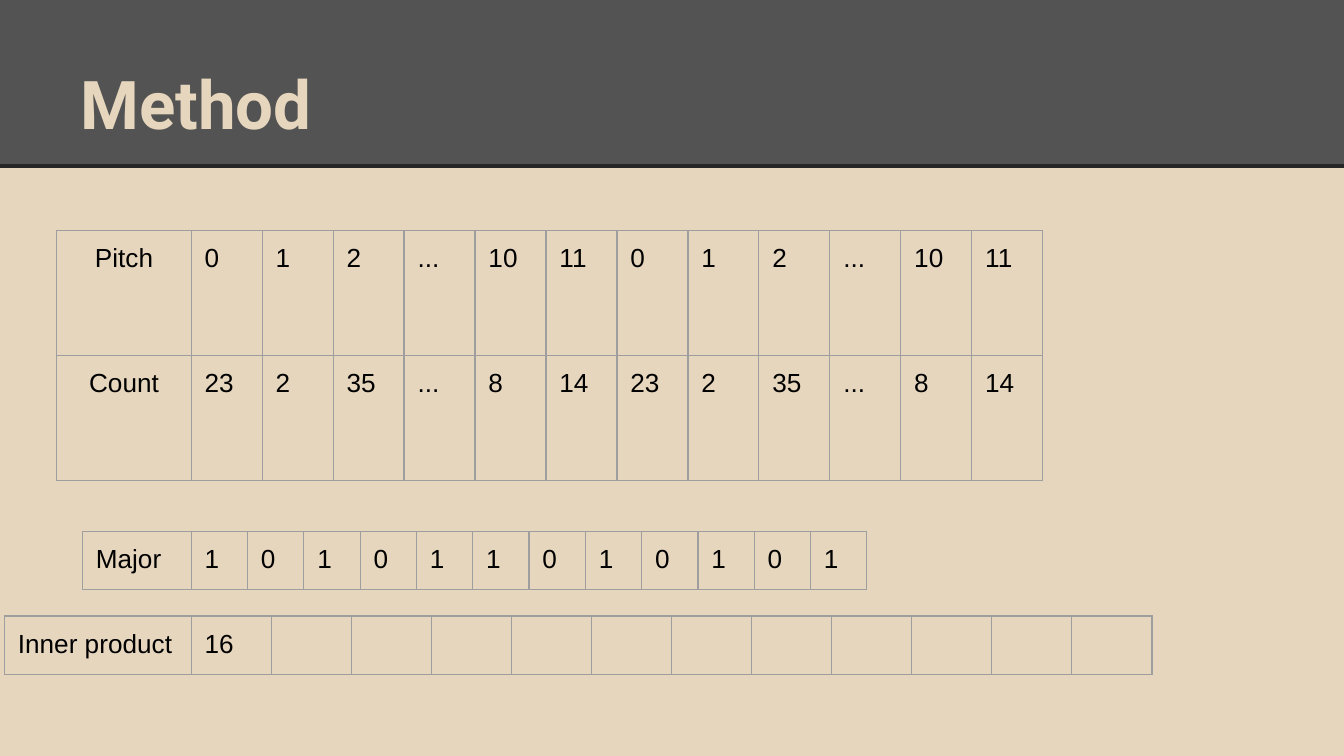
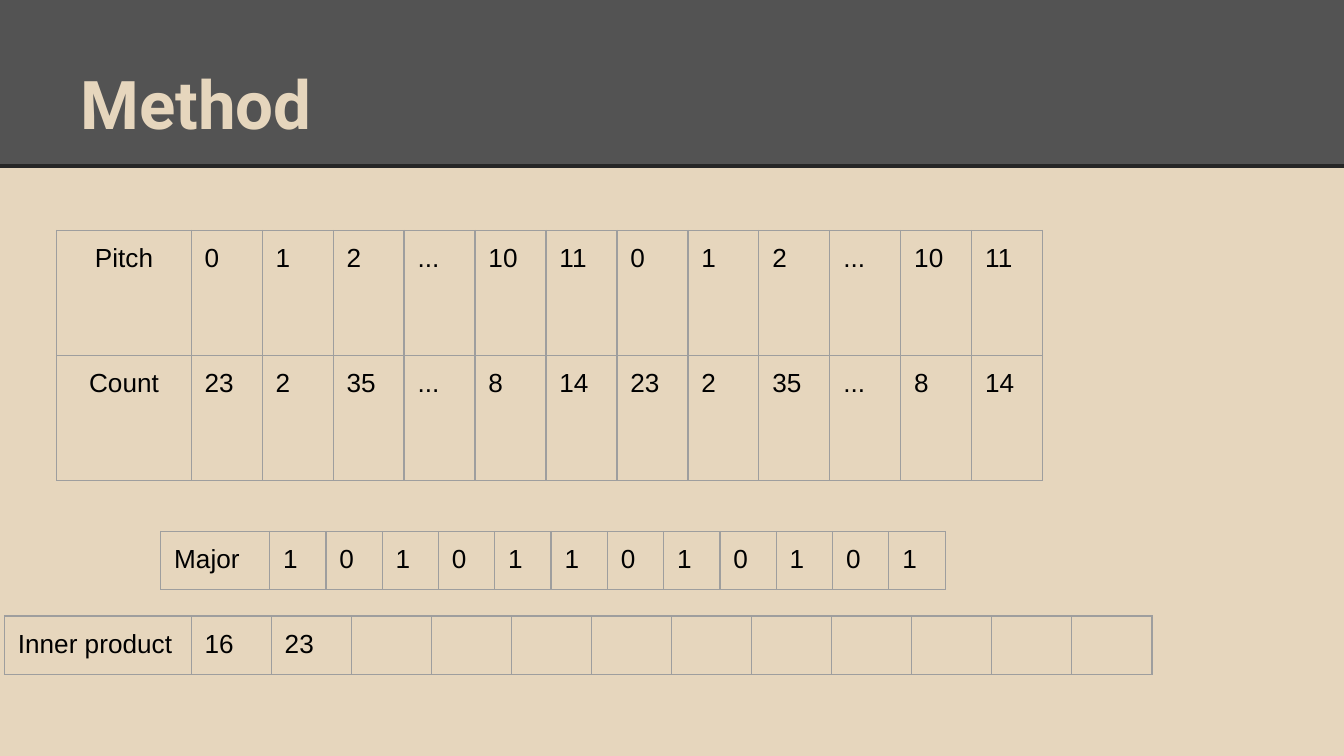
from lxml import etree
from pptx import Presentation
from pptx.dml.color import RGBColor
from pptx.enum.shapes import MSO_CONNECTOR, MSO_SHAPE
from pptx.enum.text import MSO_ANCHOR, PP_ALIGN
from pptx.oxml.ns import qn
from pptx.util import Inches, Pt

RECTANGLE = MSO_SHAPE.RECTANGLE
STRAIGHT = MSO_CONNECTOR.STRAIGHT
BOTTOM = MSO_ANCHOR.BOTTOM
LEFT = PP_ALIGN.LEFT
CENTER = PP_ALIGN.CENTER

SAND = RGBColor(0xE6, 0xD6, 0xBD)
CHARCOAL = RGBColor(0x53, 0x53, 0x53)
RULE = RGBColor(0x26, 0x26, 0x26)
BORDER = RGBColor(0x9E, 0x9E, 0x9E)
BLACK = RGBColor(0, 0, 0)

GRID_UNIT = Inches(0.1)
COLUMNS, ROWS = 100, 56.25
PADDING = 1
BAND_ROWS = 12.34
TITLE_FONT, TITLE_SIZE = "Roboto", 36
CELL_FONT, CELL_SIZE = "Arial", 14

VALUES_COLUMN = 14.23
HISTOGRAM_ROW, MAJOR_ROW, PRODUCT_ROW = 17.14, 39.55, 45.84
PITCHES = ["0", "1", "2", "...", "10", "11"] * 2
COUNTS = ["23", "2", "35", "...", "8", "14"] * 2
MAJOR_SCALE = list("101011010101")
PRODUCTS = ["16", "23"]
MAJOR_SHIFT = 5.83


def grid(units):
    return round(units * GRID_UNIT)


class MethodDeck:
    def __init__(self):
        self.presentation = Presentation()
        self.presentation.slide_width = grid(COLUMNS)
        self.presentation.slide_height = grid(ROWS)
        self.slide = None

    def add_slide(self, title):
        self.slide = self.presentation.slides.add_slide(self.presentation.slide_layouts[6])
        background = self.slide.background.fill
        background.solid()
        background.fore_color.rgb = SAND
        self.add_band()
        self.add_title(title)

    def add_band(self):
        band = self.slide.shapes.add_shape(RECTANGLE, 0, 0, grid(COLUMNS), grid(BAND_ROWS))
        band.shadow.inherit = False
        band.fill.solid()
        band.fill.fore_color.rgb = CHARCOAL
        band.line.fill.background()
        rule = self.slide.shapes.add_connector(
            STRAIGHT, 0, grid(BAND_ROWS), grid(COLUMNS), grid(BAND_ROWS))
        rule.line.color.rgb = RULE
        rule.line.width = Pt(2.25)
        etree.SubElement(rule._element.spPr, qn("a:effectLst"))

    def add_title(self, text):
        box = self.slide.shapes.add_textbox(grid(5), grid(2.25), grid(90), grid(9.4))
        frame = box.text_frame
        frame.word_wrap = True
        frame.vertical_anchor = BOTTOM
        self.pad(frame)
        self.add_run(frame.paragraphs[0], text, TITLE_FONT, TITLE_SIZE, SAND, True)

    def add_run(self, paragraph, text, font, size, color, bold=False):
        run = paragraph.add_run()
        run.text = text
        run.font.name = font
        run.font.size = Pt(size)
        run.font.bold = bold
        run.font.color.rgb = color

    def pad(self, holder):
        holder.margin_left = holder.margin_right = grid(PADDING)
        holder.margin_top = holder.margin_bottom = grid(PADDING)

    def add_table(self, left, top, cell_width, cell_height, lines, alignment=LEFT):
        row_count, column_count = len(lines), len(lines[0])
        table = self.slide.shapes.add_table(
            row_count, column_count, grid(left), grid(top),
            grid(cell_width * column_count), grid(cell_height * row_count)).table
        table.first_row = False
        table.horz_banding = False
        for column in table.columns:
            column.width = grid(cell_width)
        for row, texts in zip(table.rows, lines):
            row.height = grid(cell_height)
            for cell, text in zip(row.cells, texts):
                self.fill_cell(cell, text, alignment)

    def fill_cell(self, cell, text, alignment):
        self.pad(cell)
        self.add_borders(cell)
        cell.fill.background()
        paragraph = cell.text_frame.paragraphs[0]
        paragraph.alignment = alignment
        if text:
            self.add_run(paragraph, text, CELL_FONT, CELL_SIZE, BLACK)
        else:
            etree.SubElement(paragraph._p, qn("a:endParaRPr"), sz=str(CELL_SIZE * 100))

    def add_borders(self, cell):
        properties = cell._tc.get_or_add_tcPr()
        for side in ("lnL", "lnR", "lnT", "lnB"):
            line = etree.SubElement(properties, qn(f"a:{side}"), w=str(Pt(0.75)))
            fill = etree.SubElement(line, qn("a:solidFill"))
            etree.SubElement(fill, qn("a:srgbClr"), val=str(BORDER))

    def add_label(self, right, top, width, height, texts, alignment=LEFT):
        lines = [[text] for text in texts]
        self.add_table(right - width, top, width, height, lines, alignment)

    def add_method_slide(self, step):
        major_column = VALUES_COLUMN + step * MAJOR_SHIFT
        shown = PRODUCTS[:step + 1]
        products = shown + [""] * (len(MAJOR_SCALE) - len(shown))
        self.add_slide("Method")
        self.add_table(VALUES_COLUMN, HISTOGRAM_ROW, 5.28, 9.3, [PITCHES, COUNTS])
        self.add_table(major_column, MAJOR_ROW, 4.19, 4.2, [MAJOR_SCALE])
        self.add_table(VALUES_COLUMN, PRODUCT_ROW, 5.96, 4.3, [products])
        self.add_label(VALUES_COLUMN, HISTOGRAM_ROW, 10, 9.3, ["Pitch", "Count"], CENTER)
        self.add_label(major_column, MAJOR_ROW, 8.1, 4.2, ["Major"])
        self.add_label(VALUES_COLUMN, PRODUCT_ROW, 13.9, 4.2, ["Inner product"])


def main():
    deck = MethodDeck()
    for step in range(len(PRODUCTS)):
        deck.add_method_slide(step)
    deck.presentation.save("out.pptx")


if __name__ == "__main__":
    main()
